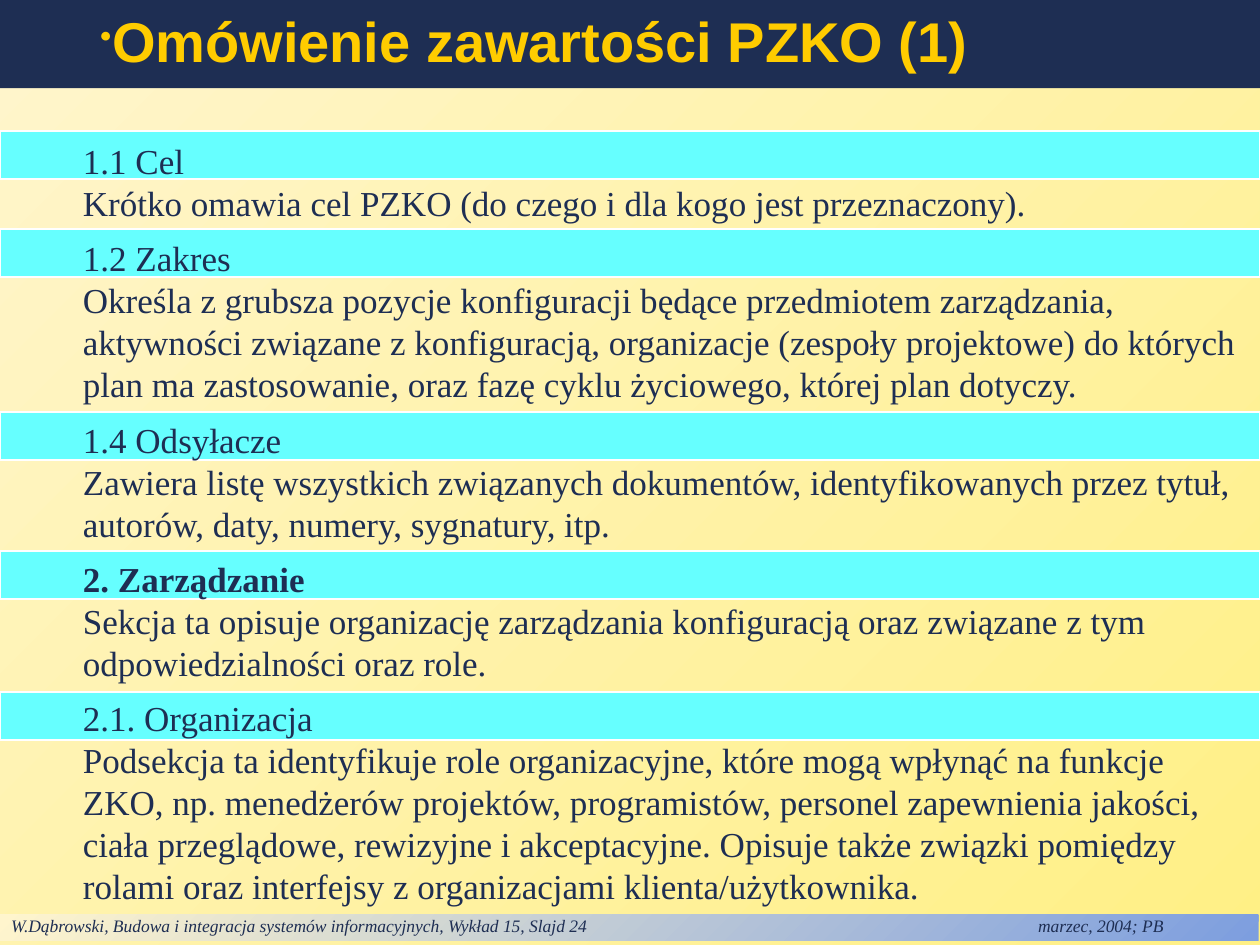
import dataclasses

import lxml.etree
import pptx
import pptx.dml.color
import pptx.enum.shapes
import pptx.enum.text
import pptx.oxml.ns
import pptx.util

Pt = pptx.util.Pt
COLORS = {
    "navy": "1E2E53",
    "gold": "FFCC00",
    "cyan": "66FFFF",
    "white": "FFFFFF",
    "yellow": "FFF085",
    "cream": "FFF5CD",
    "blue": "7D9EDF",
}
SLIDE_WIDTH = 720
SLIDE_HEIGHT = 540
BAND_HEIGHT = 27.4
SERIF = "Times New Roman"


@dataclasses.dataclass
class Section:
    band_top: float
    heading: str
    description: str
    bold: bool = False


SECTIONS = [
    Section(75, "1.1 Cel", "Krótko omawia cel PZKO (do czego i dla kogo jest przeznaczony)."),
    Section(
        131,
        "1.2 Zakres",
        "Określa z grubsza pozycje konfiguracji będące przedmiotem zarządzania, "
        "aktywności związane z konfiguracją, organizacje (zespoły projektowe) do których "
        "plan ma zastosowanie, oraz fazę cyklu życiowego, której plan dotyczy.",
    ),
    Section(
        235.5,
        "1.4 Odsyłacze",
        "Zawiera listę wszystkich związanych dokumentów, identyfikowanych przez tytuł, "
        "autorów, daty, numery, sygnatury, itp.",
    ),
    Section(
        315,
        "2. Zarządzanie",
        "Sekcja ta opisuje organizację zarządzania konfiguracją oraz związane z tym "
        "odpowiedzialności oraz role.",
        bold=True,
    ),
    Section(
        395.5,
        "2.1. Organizacja",
        "Podsekcja ta identyfikuje role organizacyjne, które mogą wpłynąć na funkcje "
        "ZKO, np. menedżerów projektów, programistów, personel zapewnienia jakości, "
        "ciała przeglądowe, rewizyjne i akceptacyjne. Opisuje także związki pomiędzy "
        "rolami oraz interfejsy z organizacjami klienta/użytkownika.",
    ),
]


def rgb(name: str) -> pptx.dml.color.RGBColor:
    return pptx.dml.color.RGBColor.from_string(COLORS[name])


def fill_gradient(fill, start: str, end: str) -> None:
    fill.gradient()
    fill.gradient_angle = 135
    for stop, name in zip(fill.gradient_stops, (start, end)):
        stop.color.rgb = rgb(name)


def format_font(paragraph, name: str, size: float, color: str) -> None:
    paragraph.font.name = name
    paragraph.font.size = Pt(size)
    paragraph.font.color.rgb = rgb(color)


def add_child(parent, tag: str, **attributes: str):
    child = lxml.etree.SubElement(parent, pptx.oxml.ns.qn(tag))
    for key, value in attributes.items():
        child.set(key, value)
    return child


def add_rectangle(slide, left: float, top: float, height: float):
    shape = slide.shapes.add_shape(
        pptx.enum.shapes.MSO_SHAPE.RECTANGLE, Pt(left), Pt(top), Pt(SLIDE_WIDTH), Pt(height)
    )
    shape.shadow.inherit = False
    return shape


def add_footer(slide) -> None:
    shape = add_rectangle(slide, -0.7, 522.7, 15)
    fill_gradient(shape.fill, "blue", "cream")
    shape.line.fill.background()
    frame = shape.text_frame
    frame.margin_top = 0
    frame.margin_bottom = Pt(3)
    frame.vertical_anchor = pptx.enum.text.MSO_ANCHOR.TOP
    paragraph = frame.paragraphs[0]
    paragraph.text = (
        "W.Dąbrowski, Budowa i integracja systemów informacyjnych, Wykład 15, Slajd 24"
        "\tmarzec, 2004; PB"
    )
    paragraph.alignment = pptx.enum.text.PP_ALIGN.LEFT
    tabs = add_child(paragraph._p.get_or_add_pPr(), "a:tabLst")
    add_child(tabs, "a:tab", pos=str(Pt(586.8)), algn="l")
    format_font(paragraph, SERIF, 10, "navy")
    paragraph.font.italic = True


def add_band(slide, section: Section) -> None:
    shape = add_rectangle(slide, 0, section.band_top, BAND_HEIGHT)
    shape.fill.solid()
    shape.fill.fore_color.rgb = rgb("cyan")
    shape.line.color.rgb = rgb("white")
    shape.line.width = Pt(1)


def format_title(slide) -> None:
    title = slide.shapes.title
    title.left, title.top = Pt(0), Pt(0)
    title.width, title.height = Pt(SLIDE_WIDTH), Pt(50.4)
    title.fill.solid()
    title.fill.fore_color.rgb = rgb("navy")
    frame = title.text_frame
    frame.text = "Omówienie zawartości PZKO (1)"
    frame.auto_size = pptx.enum.text.MSO_AUTO_SIZE.NONE
    frame.vertical_anchor = pptx.enum.text.MSO_ANCHOR.MIDDLE
    paragraph = frame.paragraphs[0]
    paragraph.alignment = pptx.enum.text.PP_ALIGN.LEFT
    paragraph.line_spacing = 0.9
    properties = paragraph._p.get_or_add_pPr()
    properties.set("marL", str(Pt(21)))
    properties.set("indent", str(Pt(29)))
    bullet_color = add_child(properties, "a:buClr")
    add_child(bullet_color, "a:srgbClr", val=COLORS["gold"])
    add_child(properties, "a:buSzPct", val="60000")
    add_child(properties, "a:buChar", char="•")
    format_font(paragraph, "Arial", 32, "gold")
    paragraph.font.bold = True


def add_body(slide, sections: list[Section]) -> None:
    box = slide.shapes.add_textbox(Pt(40.3), Pt(76.3), Pt(679.7), Pt(445.7))
    frame = box.text_frame
    frame.word_wrap = True
    for index, section in enumerate(sections):
        heading = frame.add_paragraph() if index else frame.paragraphs[0]
        description = frame.add_paragraph()
        heading.text = section.heading
        description.text = section.description
        for paragraph in (heading, description):
            paragraph.line_spacing = Pt(24)
            format_font(paragraph, SERIF, 20, "navy")
        heading.font.bold = section.bold
        if section is not sections[-1]:
            description.space_after = Pt(7.5)


def main() -> None:
    presentation = pptx.Presentation()
    presentation.slide_width = Pt(SLIDE_WIDTH)
    presentation.slide_height = Pt(SLIDE_HEIGHT)
    slide = presentation.slides.add_slide(presentation.slide_layouts[5])
    fill_gradient(slide.background.fill, "yellow", "cream")
    add_footer(slide)
    for section in SECTIONS:
        add_band(slide, section)
    format_title(slide)
    add_body(slide, SECTIONS)
    presentation.save("out.pptx")


if __name__ == "__main__":
    main()
